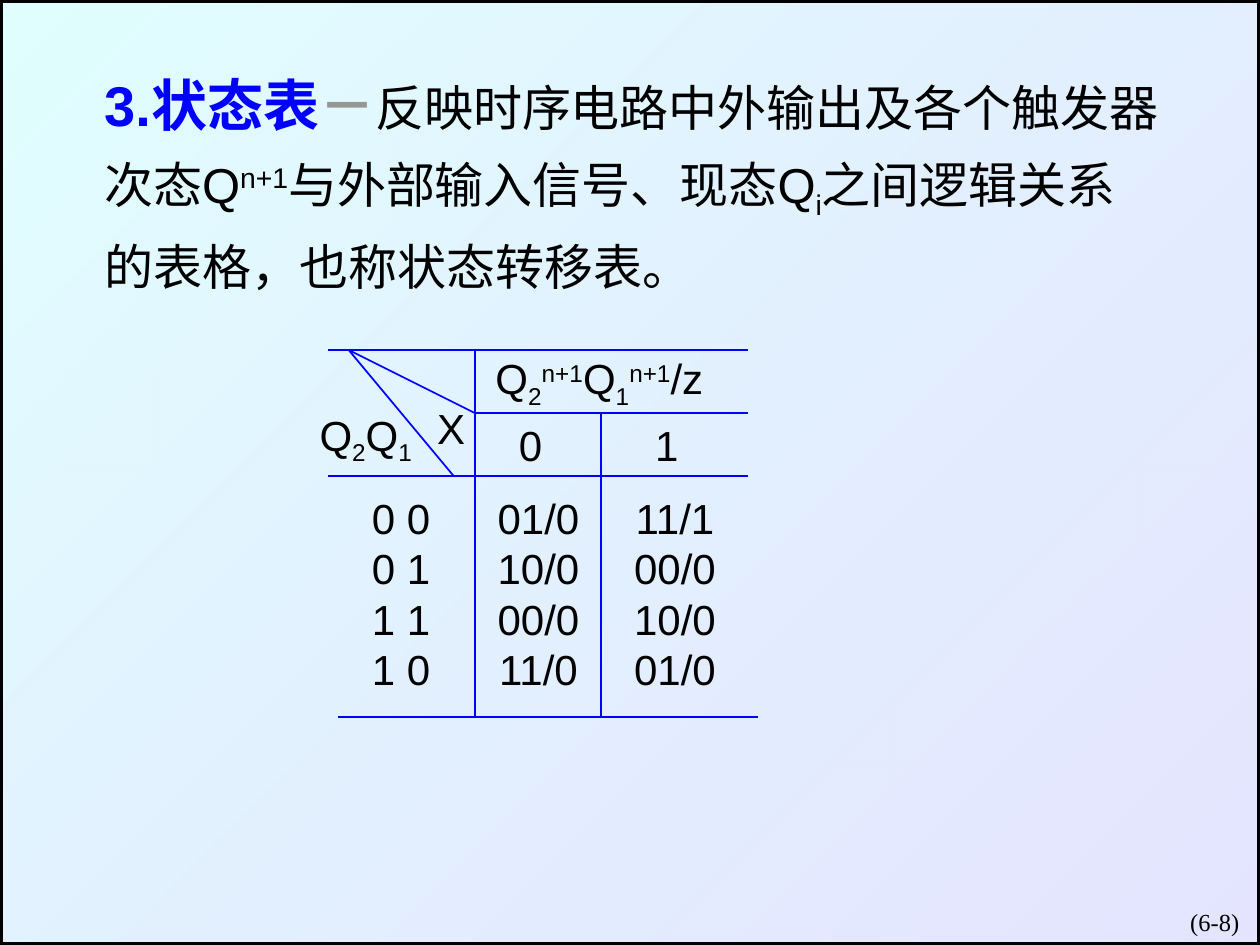
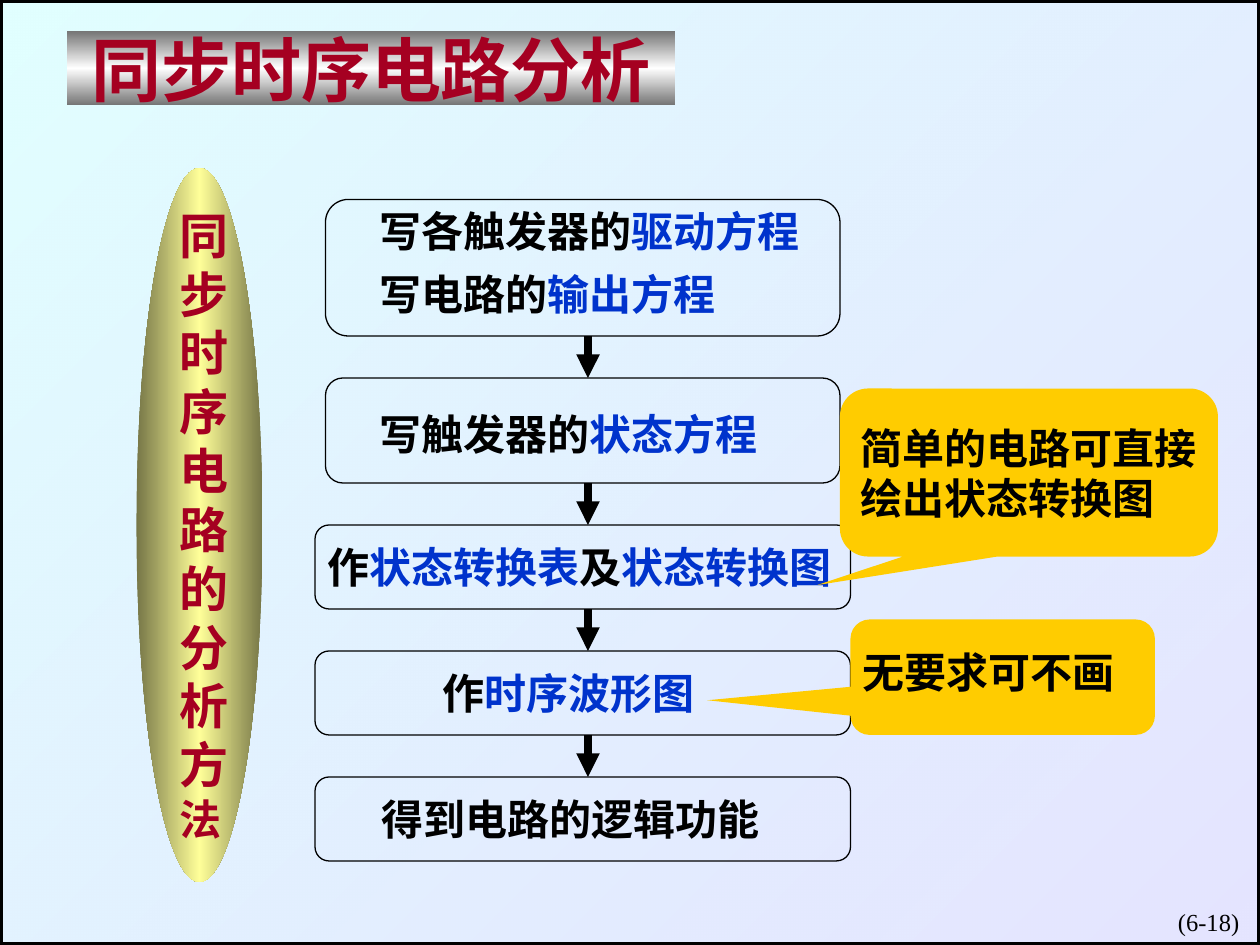
from lxml.etree import SubElement
from pptx import Presentation
from pptx.dml.color import RGBColor
from pptx.enum.shapes import MSO_CONNECTOR, MSO_SHAPE
from pptx.enum.text import MSO_ANCHOR, MSO_AUTO_SIZE, PP_ALIGN
from pptx.oxml import parse_xml
from pptx.oxml.ns import nsdecls, qn
from pptx.util import Pt

BLACK = RGBColor(0x00, 0x00, 0x00)
BLUE = RGBColor(0x00, 0x00, 0xFF)
TERM_BLUE = RGBColor(0x00, 0x33, 0xCC)
DASH_GRAY = RGBColor(0x96, 0x96, 0x96)
CRIMSON = RGBColor(0xA5, 0x00, 0x21)
AMBER = RGBColor(0xFF, 0xCC, 0x00)
WHITE = RGBColor(0xFF, 0xFF, 0xFF)
STEEL = RGBColor(0x76, 0x76, 0x76)
OLIVE = RGBColor(0x76, 0x76, 0x47)
PALE_YELLOW = RGBColor(0xFF, 0xFF, 0x99)
PALE_CYAN = RGBColor(0xCC, 0xFF, 0xFF)
PALE_VIOLET = RGBColor(0xCC, 0xCC, 0xFF)

SANS, SERIF, HEADING = "Arial", "Times New Roman", "Noto Sans CJK SC"
WIDTH, HEIGHT = 720, 540

# Content: a paragraph is a list of runs, a run is (text, options)
SUP, SUB = {"baseline": 30}, {"baseline": -25}
TERM = {"color": TERM_BLUE}

DEFINITION = [
    [("3.状态表", {"size": 32, "color": BLUE, "bold": True}),
     ("－", {"size": 32, "color": DASH_GRAY, "bold": True}),
     ("反映时序电路中外输出及各个触发器", {})],
    [("次态Q", {}), ("n+1", SUP), ("与外部输入信号、现态Q", {}), ("i", SUB),
     ("之间逻辑关系", {})],
    [("的表格，也称状态转移表。", {})],
]
NEXT_STATE = [("Q", {}), ("2", SUB), ("n+1", SUP),
              ("Q", {}), ("1", SUB), ("n+1", SUP), ("/z", {})]
PRESENT_STATE = [("Q", {}), ("2", SUB), ("Q", {}), ("1", SUB)]
STATES = ["0 0", "0 1", "1 1", "1 0"]
OUTPUTS_X0 = ["01/0", "10/0", "00/0", "11/0"]
OUTPUTS_X1 = ["11/1", "00/0", "10/0", "01/0"]

TITLE = "同步时序电路分析"
METHOD = "同步时序电路的分析方法"
# Box left, width, height; then its lines as (left, offset, width, runs)
STEPS = [
    (186, 294, 78, [(210, 0, 258, [("写各触发器的", {}), ("驱动方程", TERM)]),
                    (210, 36, 210, [("写电路的", {}), ("输出方程", TERM)])]),
    (186, 294, 60, [(210, 14, 234, [("写触发器的", {}), ("状态方程", TERM)])]),
    (180, 306, 48, [(180, 6, 306, [("作", {}), ("状态转换表", TERM),
                                   ("及", {}), ("状态转换图", TERM)])]),
    (180, 306, 48, [(246, 6, 162, [("作", {}), ("时序波形图", TERM)])]),
    (180, 306, 48, [(211, 6, 234, [("得到电路的逻辑功能", {})])]),
]
STEPS_TOP, STEP_GAP, ARROW_X = 114, 24, 336
SHORTCUT = ["简单的电路可直接", "绘出状态转换图"]
OPTIONAL = ["无要求可不画"]


def write(shape, paragraphs, size, font=SANS, color=BLACK, bold=False,
          align=None, anchor=MSO_ANCHOR.TOP, wrap=False, grow=True, spacing=None):
    """Fill a shape with paragraphs, each a string or a list of runs."""
    frame = shape.text_frame
    frame.word_wrap = wrap
    frame.vertical_anchor = anchor
    if grow:
        frame.auto_size = MSO_AUTO_SIZE.SHAPE_TO_FIT_TEXT
    for index, runs in enumerate(paragraphs):
        paragraph = frame.paragraphs[0] if index == 0 else frame.add_paragraph()
        paragraph.alignment = align
        paragraph.line_spacing = spacing
        paragraph.font.name = font
        paragraph.font.size = Pt(size)
        paragraph.font.bold = bold
        paragraph.font.color.rgb = color
        for text, options in [(runs, {})] if isinstance(runs, str) else runs:
            run = paragraph.add_run()
            run.text = text
            if "size" in options:
                run.font.size = Pt(options["size"])
            if "bold" in options:
                run.font.bold = options["bold"]
            if "color" in options:
                run.font.color.rgb = options["color"]
            if "baseline" in options:
                run.font._element.set("baseline", str(options["baseline"] * 1000))


def add_text(slide, left, top, width, height, paragraphs, size, **style):
    box = slide.shapes.add_textbox(Pt(left), Pt(top), Pt(width), Pt(height))
    write(box, paragraphs, size, **style)
    return box


def add_shape(slide, kind, left, top, width, height, fill=None, line=None):
    """Add a preset shape; line is a width in points."""
    shape = slide.shapes.add_shape(kind, Pt(left), Pt(top), Pt(width), Pt(height))
    shape.shadow.inherit = False
    if fill is None:
        shape.fill.background()
    else:
        shape.fill.solid()
        shape.fill.fore_color.rgb = fill
    if line is None:
        shape.line.fill.background()
    else:
        shape.line.color.rgb = BLACK
        shape.line.width = Pt(line)
    return shape


def set_gradient(shape, stops, angle):
    """Replace an empty fill by stops of (position, colour, opacity)."""
    marks = "".join(
        f'<a:gs pos="{position * 1000}"><a:srgbClr val="{color}">'
        f'<a:alpha val="{opacity * 1000}"/></a:srgbClr></a:gs>'
        for position, color, opacity in stops)
    gradient = parse_xml(
        f'<a:gradFill {nsdecls("a")} rotWithShape="1"><a:gsLst>{marks}</a:gsLst>'
        f'<a:lin ang="{angle * 60000}" scaled="0"/></a:gradFill>')
    properties = shape._element.spPr
    properties.replace(properties.find(qn("a:noFill")), gradient)


def set_sheen(shape, edge, middle, angle):
    set_gradient(shape, [(0, edge, 100), (50, middle, 100), (100, edge, 100)], angle)


def add_line(slide, start, end, color=BLUE, width=1, arrow=False):
    line = slide.shapes.add_connector(
        MSO_CONNECTOR.STRAIGHT, *[Pt(value) for value in (*start, *end)])
    line.line.color.rgb = color
    line.line.width = Pt(width)
    properties = line._element.spPr
    if arrow:
        SubElement(properties.find(qn("a:ln")), qn("a:tailEnd"), type="triangle")
    SubElement(properties, qn("a:effectLst"))


def new_slide(presentation, number):
    """Blank slide with the shared frame and page number."""
    slide = presentation.slides.add_slide(presentation.slide_layouts[6])
    frame = add_shape(slide, MSO_SHAPE.RECTANGLE, 0, 0, WIDTH, HEIGHT, line=3)
    set_gradient(frame, [(0, PALE_CYAN, 59), (100, PALE_VIOLET, 51)], 45)
    add_text(slide, 565.25, 515, 150, 36, [f"(6-{number})"], 14, font=SERIF,
             align=PP_ALIGN.RIGHT, wrap=True, grow=False)
    return slide


def build_state_table(presentation):
    slide = new_slide(presentation, 8)
    add_text(slide, 52.5, 30.25, 639.5, 139, DEFINITION, 28,
             anchor=MSO_ANCHOR.MIDDLE, wrap=True, spacing=1.25)

    # Rules of the table, with the split corner cell
    left, right = 187.25, 427.25
    top, middle, header_end, bottom = 200, 236, 272, 409.75
    column_0, column_1 = 271.25, 343.25
    corner = (199.25, top)
    for start, end in [
        ((left, top), (right, top)),
        ((left, header_end), (right, header_end)),
        ((column_0, top), (column_0, bottom)),
        ((column_0, middle), (right, middle)),
        ((column_0, middle), corner),
        (corner, (259.25, header_end)),
        ((left + 6, bottom), (right + 6, bottom)),
        ((column_1, middle), (column_1, bottom)),
    ]:
        add_line(slide, start, end)

    # Headings and columns of values
    for x, y, width, height, paragraphs in [
        (271, top, 143, 36, [NEXT_STATE]),
        (242.75, 226.25, 30, 36, ["X"]),
        (174, 232.25, 70, 36, [PRESENT_STATE]),
        (289.25, middle, 28, 36, ["0"]),
        (367, middle, 28, 36, ["1"]),
        (199.25, 277.75, 60, 122.5, STATES),
        (277.25, 277.75, 61, 122.5, OUTPUTS_X0),
        (355.25, 277.75, 61, 122.5, OUTPUTS_X1),
    ]:
        add_text(slide, x, y, width, height, paragraphs, 24,
                 align=PP_ALIGN.CENTER, anchor=MSO_ANCHOR.MIDDLE,
                 wrap=paragraphs is STATES)


def build_analysis_steps(presentation):
    slide = new_slide(presentation, 18)
    label = {"size": 24, "font": SERIF, "bold": True}

    # Flow of steps with arrows between them
    top = STEPS_TOP
    for index, (left, width, height, lines) in enumerate(STEPS):
        if index:
            add_line(slide, (ARROW_X, top - STEP_GAP), (ARROW_X, top),
                     BLACK, 4.5, arrow=True)
        add_shape(slide, MSO_SHAPE.FLOWCHART_ALTERNATE_PROCESS,
                  left, top, width, height, line=0.75)
        for x, offset, text_width, runs in lines:
            add_text(slide, x, top + offset, text_width, 36, [runs], **label)
        top += height + STEP_GAP

    # Upright method name, its last character smaller
    ellipse = add_shape(slide, MSO_SHAPE.OVAL, 78, 96, 72, 408)
    set_sheen(ellipse, OLIVE, PALE_YELLOW, 0)
    characters = [*METHOD[:-1], [(METHOD[-1], {"size": 24})]]
    add_text(slide, 95.25, 113.75, 43, 372, characters, 28, font=SERIF,
             color=CRIMSON, bold=True)

    # Callouts
    callouts = []
    for x, y, width, height, tip in [(480, 222, 216, 96, (-0.56, 0.67)),
                                     (486, 354, 174, 66, (-0.97, 0.2))]:
        callout = add_shape(slide, MSO_SHAPE.ROUNDED_RECTANGULAR_CALLOUT,
                            x, y, width, height, fill=AMBER)
        callout.adjustments[0], callout.adjustments[1] = tip
        callouts.append(callout)
    write(callouts[0], SHORTCUT, align=PP_ALIGN.JUSTIFY,
          anchor=MSO_ANCHOR.MIDDLE, grow=False, **label)
    add_text(slide, 486, 366, 160, 36, OPTIONAL, **label)

    # Title band
    band = add_shape(slide, MSO_SHAPE.RECTANGLE, 38, 18, 348, 42)
    set_sheen(band, STEEL, WHITE, 90)
    write(band, [TITLE], 40, font=HEADING, color=CRIMSON, bold=True,
          align=PP_ALIGN.CENTER, anchor=MSO_ANCHOR.MIDDLE, wrap=True, grow=False)


def main():
    presentation = Presentation()
    presentation.slide_width, presentation.slide_height = Pt(WIDTH), Pt(HEIGHT)
    build_state_table(presentation)
    build_analysis_steps(presentation)
    presentation.save("out.pptx")


if __name__ == "__main__":
    main()
